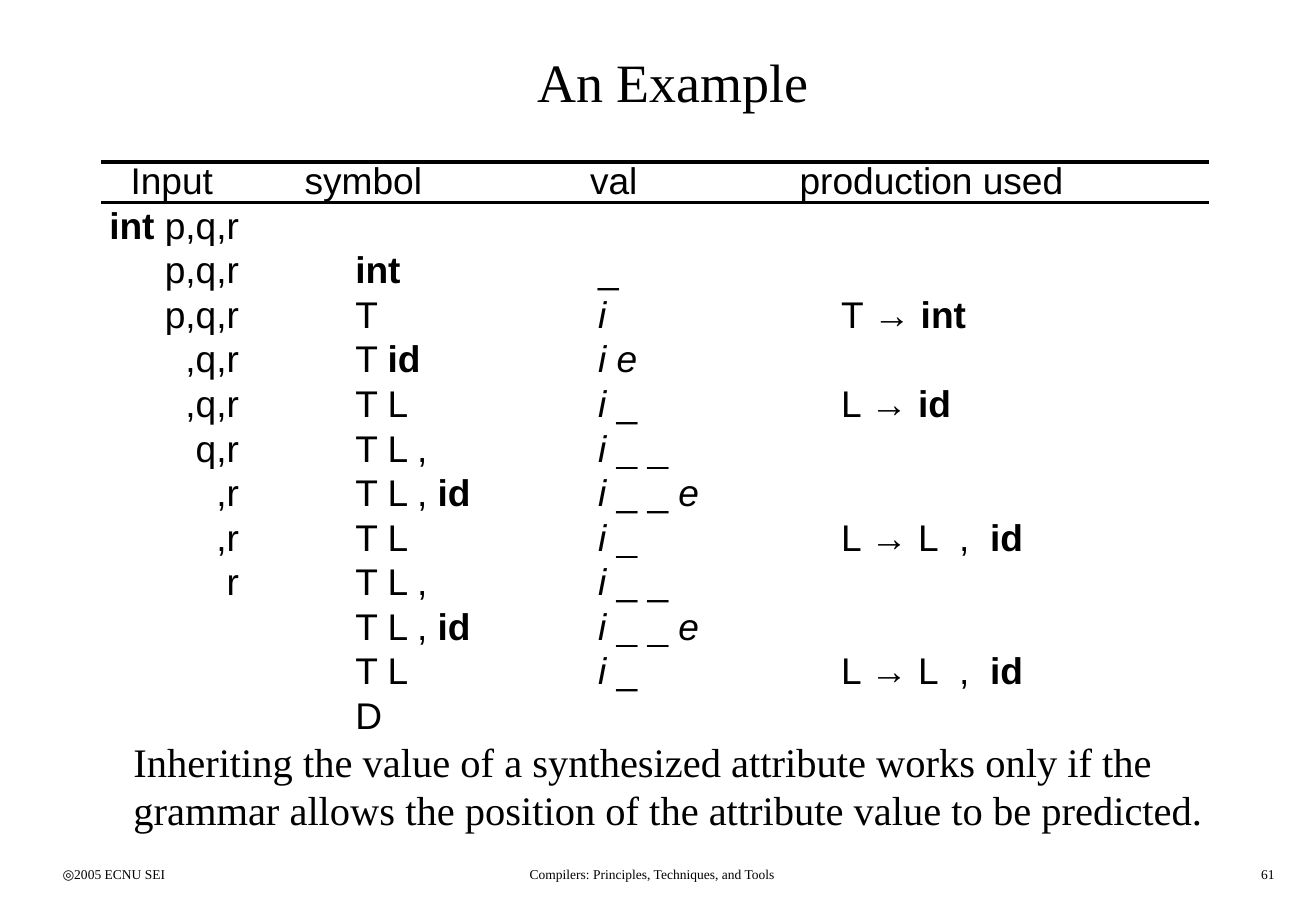
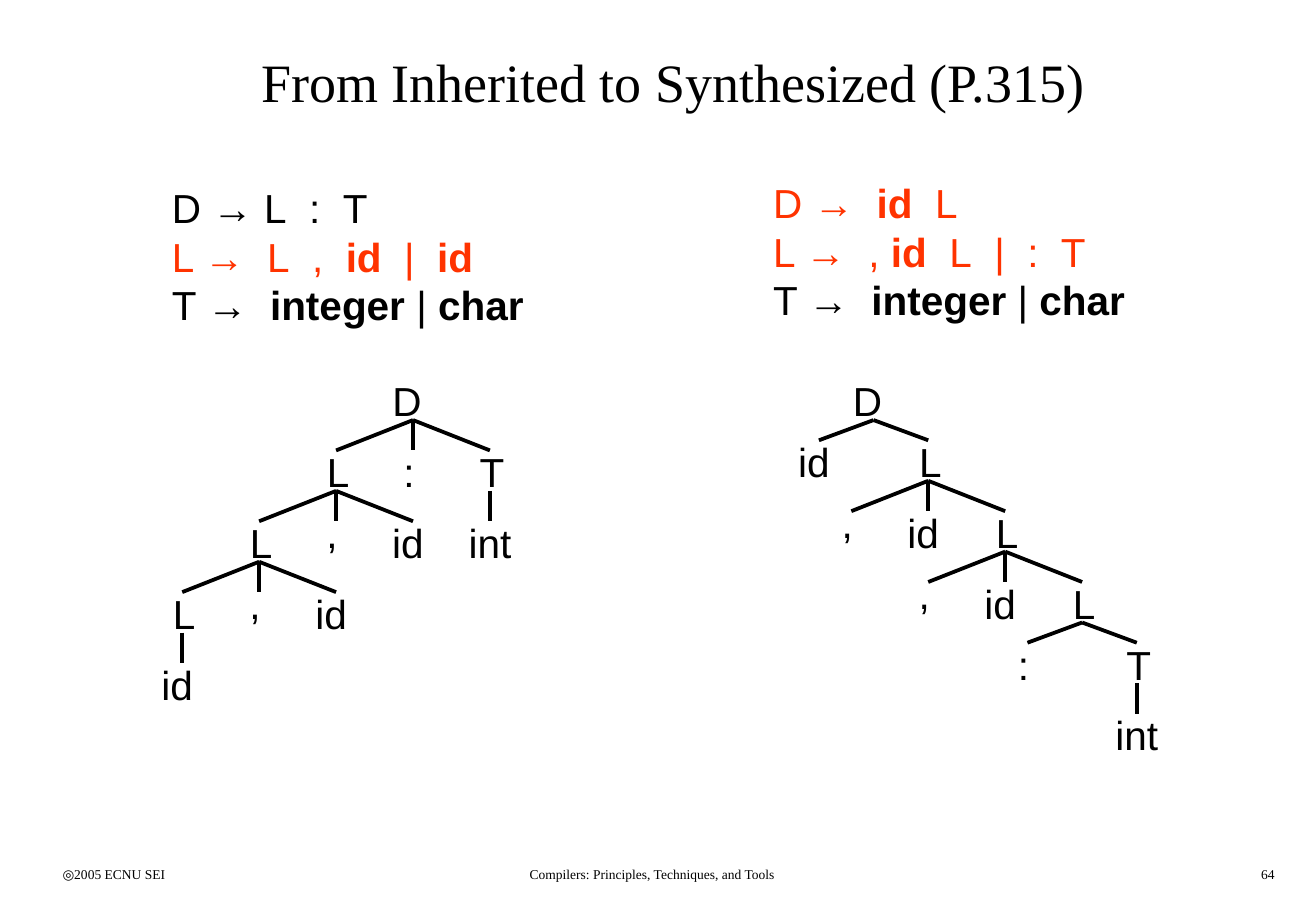
"""Builds two compiler-course slides: a parsing trace and a grammar rewrite."""
from dataclasses import dataclass
from itertools import groupby

from lxml import etree
from pptx import Presentation
from pptx.dml.color import RGBColor
from pptx.enum.shapes import MSO_CONNECTOR
from pptx.enum.text import MSO_ANCHOR, PP_ALIGN
from pptx.oxml.ns import qn
from pptx.util import Pt

LEFT, CENTER, RIGHT = PP_ALIGN.LEFT, PP_ALIGN.CENTER, PP_ALIGN.RIGHT
MIDDLE = MSO_ANCHOR.MIDDLE
STRAIGHT = MSO_CONNECTOR.STRAIGHT
PX = 7620
TITLE_ONLY = 5


@dataclass(frozen=True)
class Theme:
    serif: str = "Times New Roman"
    sans: str = "Arial"
    ink: RGBColor = RGBColor(0x00, 0x00, 0x00)
    accent: RGBColor = RGBColor(0xFF, 0x33, 0x00)
    title: int = 32
    body: int = 24
    table: int = 22
    footer: int = 8
    rule: float = 2.25
    leading: float = 1.2
    space: float = 0.278


THEME = Theme()

# Markup: *bold*, /italic/, ~ a double-width space
BOLD, ITALIC, WIDE = 1, 2, 4
TOGGLES = {"*": BOLD, "/": ITALIC}

SLIDE_SIZE = (1300, 900)
TITLE_BOX = (50, 20, 1230, 120)
FOOTER_BOXES = [
    ((50, 850, 271, 30), LEFT),
    ((401, 850, 487, 30), CENTER),
    ((1000, 850, 271, 30), RIGHT),
]
FOOTER_TEXTS = ["◎2005 ECNU SEI", "Compilers: Principles, Techniques, and Tools"]

TRACE_TITLE = "An Example"
TRACE_HEADER = ["Input", "symbol", "val", "production used"]
TRACE_ROWS = [
    ["*int* p,q,r", "", "", ""],
    ["p,q,r", "*int*", "_", ""],
    ["p,q,r", "T", "/i/", "T → *int*"],
    [",q,r", "T *id*", "/i e/", ""],
    [",q,r", "T L", "/i/ _", "L → *id*"],
    ["q,r", "T L ,", "/i/ _ _", ""],
    [",r", "T L , *id*", "/i/ _ _ /e/", ""],
    [",r", "T L", "/i/ _", "L → L~,~*id*"],
    ["r", "T L ,", "/i/ _ _", ""],
    ["", "T L , *id*", "/i/ _ _ /e/", ""],
    ["", "T L", "/i/ _", "L → L~,~*id*"],
    ["", "D", "", ""],
]
TRACE_LEFT, TRACE_TOP, ROW_HEIGHT = 100, 156, 44
COLUMN_WIDTHS = [200, 280, 210, 404]
HEADER_INDENTS = [29, 1, 3, 0]
BODY_INDENTS = [0, 51, 11, 41]
INPUT_RIGHT_MARGIN = 64
RULE_YS = [160, 200]
CAPTION_BOX = (120, 722, 1090, 108)
CAPTION = (
    "Inheriting the value of a synthesized attribute works only if the "
    "grammar allows the position of the attribute value to be predicted."
)

GRAMMAR_TITLE = "From Inherited to Synthesized (P.315)"
GRAMMARS = [
    ((158, 175, 420, 156), [
        ("D → L~:~T", THEME.ink),
        ("L →~L~,~*id*~|~*id*", THEME.accent),
        ("T →~*integer* | *char*", THEME.ink),
    ]),
    ((752, 170, 420, 156), [
        ("D →~*id*~L", THEME.accent),
        ("L →~, *id*~L~|~:~T", THEME.accent),
        ("T →~*integer* | *char*", THEME.ink),
    ]),
]
ID, COMMA, COLON = ("id", []), (",", []), (":", [])
TYPE = ("T", [("int", [])])
INHERITED_TREE = ("D", [
    ("L", [("L", [("L", [ID]), COMMA, ID]), COMMA, ID]), COLON, TYPE,
])
SYNTHESIZED_TREE = ("D", [
    ID, ("L", [COMMA, ID, ("L", [COMMA, ID, ("L", [COLON, TYPE])])]),
])
TREES = [(408, 415, INHERITED_TREE), (863, 415, SYNTHESIZED_TREE)]
BRANCHES = {1: ([0], 30), 2: ([-54, 54], 20), 3: ([-76, 0, 76], 30)}
LABEL_NUDGES = {"D": (-6, 0), "L": (2, 0), "T": (2, 0), "id": (-5, 0),
                ":": (-4, 0), ",": (-4, -10), "int": (0, 0)}
LABEL_WIDTH, LABEL_HEIGHT, LABEL_RISE, NODE_HEIGHT = 72, 60, 49, 40


def px(*lengths):
    return [length * PX for length in lengths]


def styled_pieces(markup):
    style, pieces = 0, []
    for char in markup:
        if char in TOGGLES:
            style ^= TOGGLES[char]
        elif char == "~":
            pieces.append((style | WIDE, " "))
        else:
            pieces.append((style, char))
    for style, group in groupby(pieces, key=lambda piece: piece[0]):
        yield style, "".join(char for _, char in group)


def write(para, markup, font, size, color=THEME.ink, align=LEFT):
    para.alignment = align
    para.line_spacing = Pt(size * THEME.leading)
    para.font.size = Pt(size)
    for style, text in styled_pieces(markup):
        span = para.add_run()
        span.text = text
        span.font.name = font
        span.font.size = Pt(size)
        span.font.color.rgb = color
        span.font.bold = bool(style & BOLD)
        span.font.italic = bool(style & ITALIC)
        if style & WIDE:
            extra = round(THEME.space * size * 100)
            span._r.get_or_add_rPr().set("spc", str(extra))


def add_text(page, bounds, lines, font, size, align=LEFT):
    box = page.shapes.add_textbox(*px(*bounds))
    frame = box.text_frame
    frame.word_wrap = True
    for index, (markup, color) in enumerate(lines):
        para = frame.add_paragraph() if index else frame.paragraphs[0]
        write(para, markup, font, size, color, align)


def add_line(page, start, end):
    line = page.shapes.add_connector(STRAIGHT, *px(*start, *end))
    line.line.color.rgb = THEME.ink
    line.line.width = Pt(THEME.rule)
    etree.SubElement(line._element.spPr, qn("a:effectLst"))


def add_page(deck, title, number):
    page = deck.slides.add_slide(deck.slide_layouts[TITLE_ONLY])
    heading = page.shapes.title
    heading.left, heading.top, heading.width, heading.height = px(*TITLE_BOX)
    heading.text_frame.vertical_anchor = MIDDLE
    write(heading.text_frame.paragraphs[0], title, THEME.serif, THEME.title,
          align=CENTER)
    for (bounds, align), text in zip(FOOTER_BOXES, FOOTER_TEXTS + [str(number)]):
        add_text(page, bounds, [(text, THEME.ink)], THEME.serif, THEME.footer, align)
    return page


def add_trace(page):
    rows = [TRACE_HEADER] + TRACE_ROWS
    width = sum(COLUMN_WIDTHS)
    table = page.shapes.add_table(
        len(rows), len(COLUMN_WIDTHS),
        *px(TRACE_LEFT, TRACE_TOP, width, ROW_HEIGHT * len(rows))).table
    table.first_row = table.horz_banding = False
    for column, column_width in zip(table.columns, COLUMN_WIDTHS):
        column.width = column_width * PX
    for row_index, texts in enumerate(rows):
        table.rows[row_index].height = ROW_HEIGHT * PX
        indents = BODY_INDENTS if row_index else HEADER_INDENTS
        for column_index, text in enumerate(texts):
            is_input = row_index > 0 and column_index == 0
            cell = table.cell(row_index, column_index)
            cell.fill.background()
            cell.vertical_anchor = MIDDLE
            cell.margin_top = cell.margin_bottom = 0
            cell.margin_left = indents[column_index] * PX
            cell.margin_right = INPUT_RIGHT_MARGIN * PX if is_input else 0
            write(cell.text_frame.paragraphs[0], text, THEME.sans, THEME.table,
                  align=RIGHT if is_input else LEFT)
    for y in RULE_YS:
        add_line(page, (TRACE_LEFT, y), (TRACE_LEFT + width, y))


def add_tree(page, x, y, node):
    label, children = node
    nudge_x, nudge_y = LABEL_NUDGES[label]
    bounds = (x + nudge_x - LABEL_WIDTH // 2, y + nudge_y - LABEL_RISE,
              LABEL_WIDTH, LABEL_HEIGHT)
    add_text(page, bounds, [(label, THEME.ink)], THEME.sans, THEME.body, CENTER)
    if children:
        offsets, drop = BRANCHES[len(children)]
        for offset, child in zip(offsets, children):
            add_line(page, (x, y), (x + offset, y + drop))
            add_tree(page, x + offset, y + drop + NODE_HEIGHT, child)


def main():
    deck = Presentation()
    deck.slide_width, deck.slide_height = px(*SLIDE_SIZE)

    trace_page = add_page(deck, TRACE_TITLE, 61)
    add_trace(trace_page)
    add_text(trace_page, CAPTION_BOX, [(CAPTION, THEME.ink)], THEME.serif, THEME.body)

    grammar_page = add_page(deck, GRAMMAR_TITLE, 64)
    for bounds, lines in GRAMMARS:
        add_text(grammar_page, bounds, lines, THEME.sans, THEME.body)
    for x, y, root in TREES:
        add_tree(grammar_page, x, y, root)

    deck.save("out.pptx")


if __name__ == "__main__":
    main()
